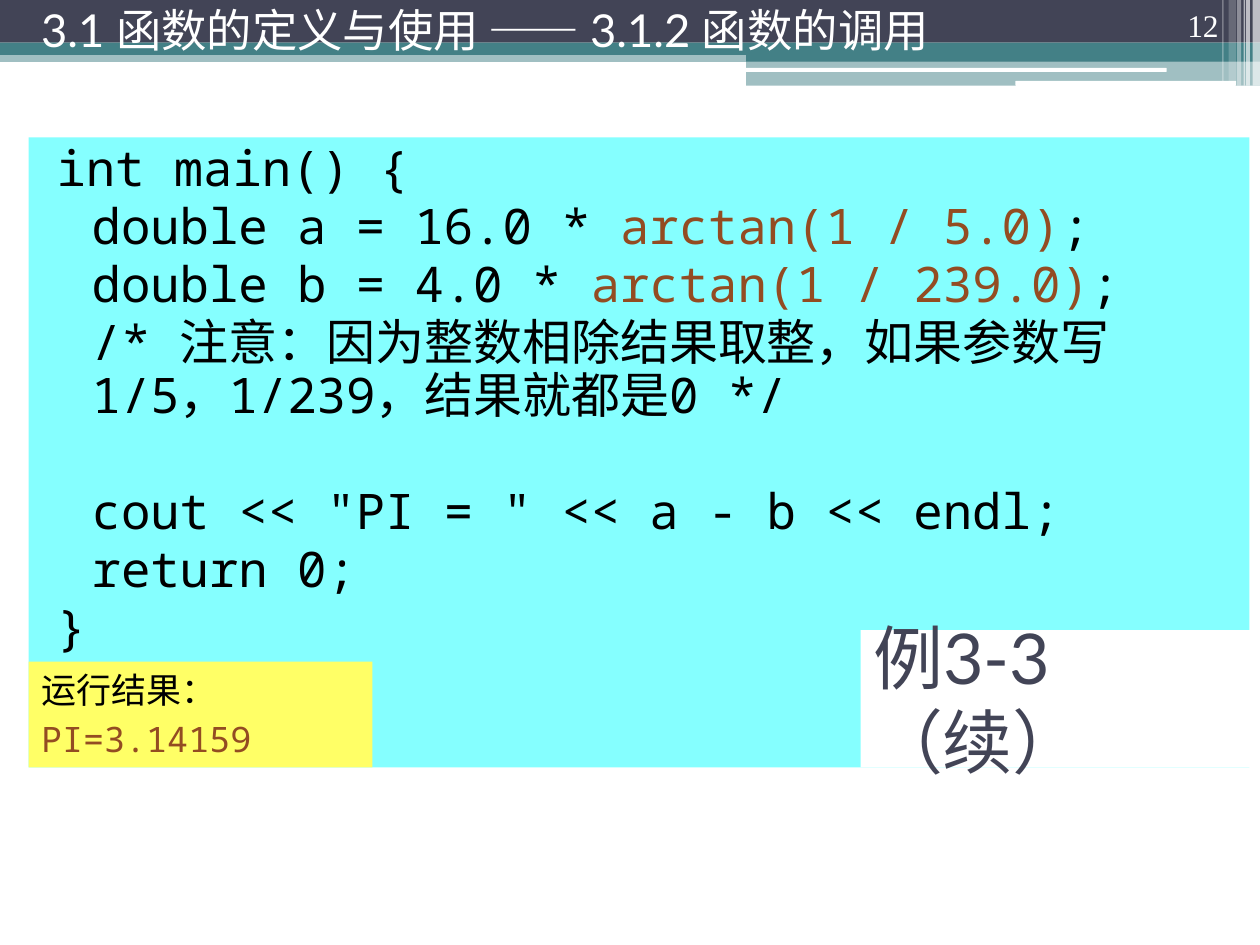
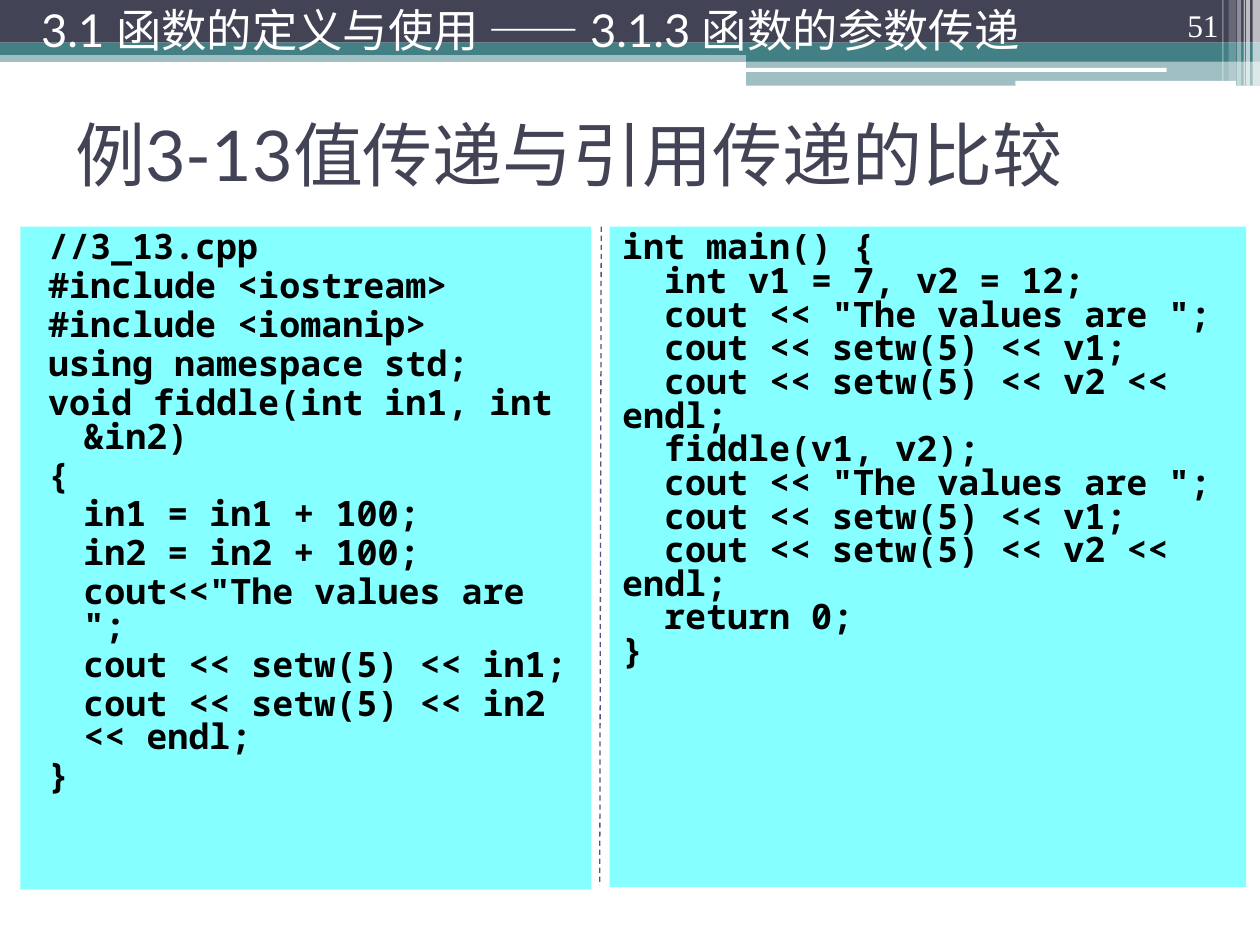
from lxml.etree import SubElement as Sub
from pptx import Presentation
from pptx.dml.color import RGBColor
from pptx.enum.dml import MSO_LINE as Dash
from pptx.enum.shapes import MSO_CONNECTOR as Link, MSO_SHAPE as Kind
from pptx.enum.text import MSO_ANCHOR as Anchor, MSO_AUTO_SIZE as Fit, PP_ALIGN as Align
from pptx.oxml.ns import qn
from pptx.util import Cm, Pt

NAVY, TEAL, WHITE, BLACK = "424456", "438086", "FFFFFF", "000000"
CYAN, YELLOW, RUST, DASH = "85FFFF", "FFFF66", "934C22", "53548A"
SANS, MONO, SERIF = "Lato", "Noto Sans Mono", "Times New Roman"

# left, top, width, height in cm, colour, opacity in percent
BANDS = [
    (0, 1.02, 25.4, 0.23, TEAL, 50),
    (0, 0, 25.4, 0.86, NAVY, 100),
    (0, 0.86, 25.4, 0.25, TEAL, 100),
    (15.04, 0.99, 10.36, 0.25, TEAL, 100),
    (15.04, 1.22, 10.36, 0.51, TEAL, 50),
]
PILLS = [(15.01, 1.37, 8.51, 0.08), (20.47, 1.63, 4.45, 0.1)]
# left, width, height in cm, opacity in percent
STRIPES = [
    (25.25, 0.15, 1.73, 65), (25.12, 0.08, 1.73, 65), (25.07, 0.03, 1.73, 60),
    (24.94, 0.08, 1.73, 40), (24.77, 0.15, 1.63, 20), (24.64, 0.03, 1.63, 30),
]

MAIN = """int main() {
\tdouble a = 16.0 * |arctan(1 / 5.0)|;
\tdouble b = 4.0 * |arctan(1 / 239.0)|;
\t/* 注意：因为整数相除结果取整，如果参数写1/5，1/239，结果就都是0 */

\tcout << "PI = " << a - b << endl;
\treturn 0;
}"""

FIDDLE = """//3_13.cpp
#include <iostream>
#include <iomanip>
using namespace std;
void fiddle(int in1, int &in2)
{
\tin1 = in1 + 100;
\tin2 = in2 + 100;
\tcout<<"The values are ";
\tcout << setw(5) << in1;
\tcout << setw(5) << in2 << endl;
}"""

CALLS = """int main() {
  int v1 = 7, v2 = 12;
  cout << "The values are ";
  cout << setw(5) << v1;
  cout << setw(5) << v2 << endl;
  fiddle(v1, v2);
  cout << "The values are ";
  cout << setw(5) << v1;
  cout << setw(5) << v2 << endl;
  return 0;
}"""


def rgb(code):
    return RGBColor.from_string(code)


def write(frame, text, font=MONO, size=20, color=BLACK, bold=False, align=Align.LEFT,
          anchor=Anchor.TOP, lead=1.0, before=0, gap=0, hang=False):
    """Fill a frame: bars enclose accented text, an empty line adds the gap,
    and with hang a leading tab means an indented line."""
    frame.word_wrap, frame.auto_size = True, Fit.NONE
    frame.vertical_anchor = anchor
    frame.margin_left = frame.margin_right = Cm(0.25)
    frame.margin_top = frame.margin_bottom = Cm(0.13)
    extra = 0
    for num, line in enumerate(text.split("\n")):
        if not line:
            extra = gap
            continue
        para = frame.add_paragraph() if num else frame.paragraphs[0]
        para.alignment, para.line_spacing = align, lead
        para.space_before = Pt(before + extra if num else 0)
        extra = 0
        if hang:
            props = para._p.get_or_add_pPr()
            props.set("marL", str(Cm(1.02)))
            props.set("indent", str(0 if line[0] == "\t" else Cm(-0.71)))
            line = line.lstrip("\t")
        for part, piece in enumerate(line.split("|")):
            if piece:
                run = para.add_run()
                run.text = piece
                run.font.name, run.font.size, run.font.bold = font, Pt(size), bold
                run.font.color.rgb = rgb(RUST if part % 2 else color)


class Deck:
    def __init__(self):
        self.prs = Presentation()
        self.prs.slide_width, self.prs.slide_height = Cm(25.4), Cm(19.05)
        self.slide = None

    def page(self, head, num):
        """Start a slide with its bands, running head and number."""
        self.slide = self.prs.slides.add_slide(self.prs.slide_layouts[5])
        for *box, color, alpha in BANDS:
            self.block(box, color, alpha)
        for box in PILLS:
            self.block(box, WHITE, kind=Kind.ROUNDED_RECTANGLE)
        for left, width, height, alpha in STRIPES:
            self.block((left, 0, width, height), WHITE, alpha)
        self.label((22.71, 0, 2.11, 1.02), str(num), font=SERIF, size=18, color=WHITE,
                   align=Align.RIGHT, anchor=Anchor.BOTTOM)
        self.label((0.58, 0, 22.43, 1.19), head, font=SANS, size=25.9, color=WHITE,
                   anchor=Anchor.MIDDLE)

    def block(self, box, color, alpha=100, kind=Kind.RECTANGLE):
        shape = self.slide.shapes.add_shape(kind, *map(Cm, box))
        shape.shadow.inherit = False
        shape.line.fill.background()
        shape.fill.solid()
        shape.fill.fore_color.rgb = rgb(color)
        if alpha < 100:
            tone = shape._element.spPr.find(".//" + qn("a:srgbClr"))
            Sub(tone, qn("a:alpha")).set("val", str(alpha * 1000))
        return shape

    def label(self, box, text, **form):
        write(self.slide.shapes.add_textbox(*map(Cm, box)).text_frame, text, **form)

    def panel(self, box, text, fill=CYAN, **form):
        write(self.block(box, fill).text_frame, text, **form)

    def title(self, box, text, fill=None):
        """Place the title in front of what is drawn so far."""
        shape = self.slide.shapes.title
        shape.left, shape.top, shape.width, shape.height = map(Cm, box)
        if fill:
            shape.fill.solid()
            shape.fill.fore_color.rgb = rgb(fill)
        write(shape.text_frame, text, font=SANS, size=40, color=NAVY, anchor=Anchor.MIDDLE)
        self.slide.shapes._spTree.append(shape._element)

    def rule(self, *ends):
        line = self.slide.shapes.add_connector(Link.STRAIGHT, *map(Cm, ends))
        line.line.color.rgb, line.line.width = rgb(DASH), Pt(0.75)
        line.line.dash_style = Dash.DASH
        Sub(line._element.spPr, qn("a:effectLst"))


def main():
    deck = Deck()
    head = "3.1 函数的定义与使用 —— "

    deck.page(head + "3.1.2 函数的调用", 12)
    deck.panel((0.58, 2.77, 24.61, 12.7), MAIN, size=28, lead=0.9, before=3, gap=33,
               hang=True)
    deck.panel((0.58, 13.34, 6.93, 2.13), "运行结果：\n|PI=3.14159|", fill=YELLOW, before=4)
    deck.title((17.35, 12.7, 7.85, 2.77), "例3-3 （续）", fill=WHITE)

    deck.page(head + "3.1.3 函数的参数传递", 51)
    deck.title((1.27, 1.6, 22.86, 2.97), "例3-13值传递与引用传递的比较")
    deck.panel((0.41, 4.57, 11.51, 13.36), FIDDLE, bold=True, lead=0.8, before=3, hang=True)
    deck.panel((12.29, 4.57, 12.83, 13.31), CALLS, bold=True, lead=0.8)
    deck.rule(12.12, 4.57, 12.09, 17.86)

    deck.prs.save("out.pptx")


if __name__ == "__main__":
    main()
